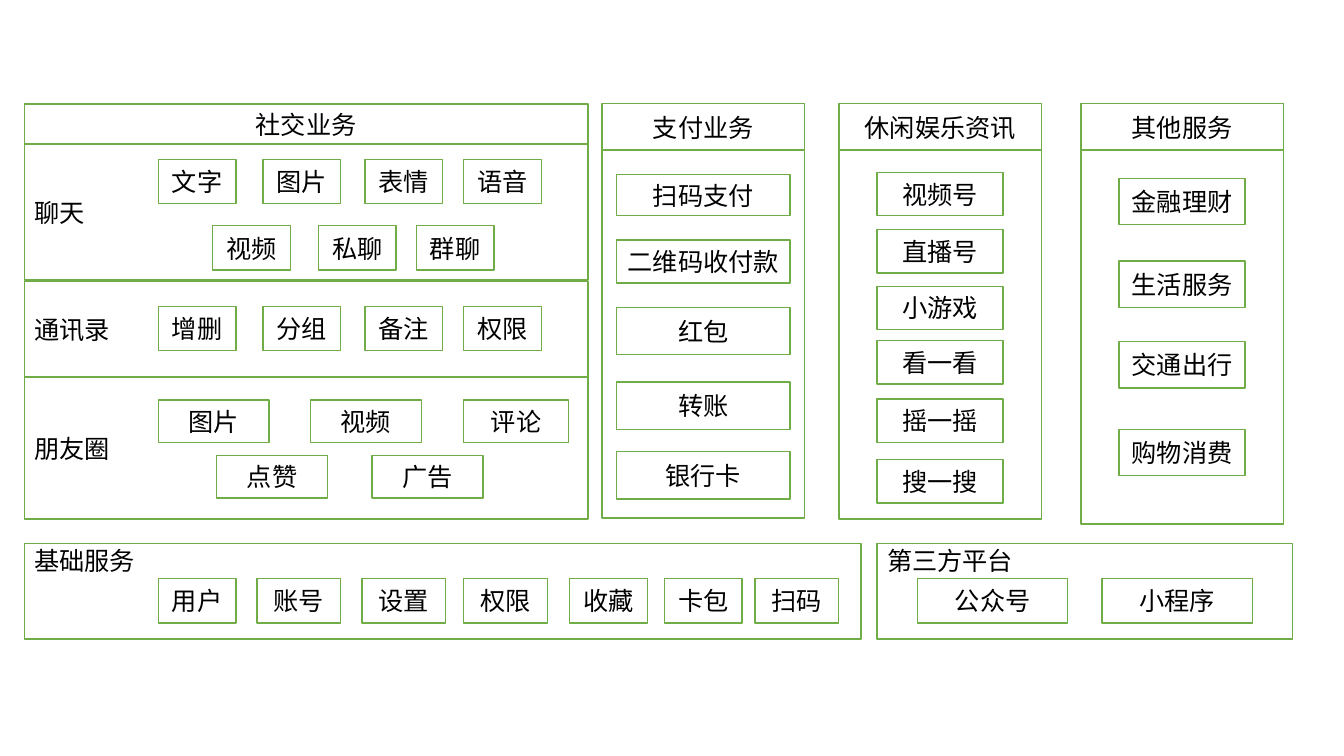
from pptx import Presentation
from pptx.dml.color import RGBColor
from pptx.enum.shapes import MSO_SHAPE
from pptx.enum.text import MSO_ANCHOR, MSO_AUTO_SIZE, PP_ALIGN
from pptx.oxml.ns import qn
from pptx.util import Inches, Pt

GREEN = RGBColor(0x70, 0xAD, 0x47)
WHITE = RGBColor(0xFF, 0xFF, 0xFF)
BLACK = RGBColor(0, 0, 0)
FONT = "Noto Sans CJK SC"

TOP = 1.03           # top of the upper panels
HEADER_H = 0.46
CHIP_H = 0.44
CHIP_W = 0.77
CHIP_COLS = (1.33, 2.37, 3.38, 4.36)


def format_box(sp):
    sp.fill.solid()
    sp.fill.fore_color.rgb = WHITE
    sp.line.color.rgb = GREEN
    sp.line.width = Pt(1)


def write(sp, text, align, anchor=MSO_ANCHOR.MIDDLE):
    tf = sp.text_frame
    tf.word_wrap = True
    tf.vertical_anchor = anchor
    p = tf.paragraphs[0]
    p.alignment = align
    r = p.add_run()
    r.text = text
    r.font.size = Pt(18)
    r.font.name = FONT
    r.font.color.rgb = BLACK
    ea = r._r.get_or_add_rPr().makeelement(qn("a:ea"), {"typeface": FONT})
    r.font._element.find(qn("a:latin")).addnext(ea)
    return p


def add_box(s, x, y, w, h, text="", align=PP_ALIGN.CENTER):
    sp = s.shapes.add_shape(MSO_SHAPE.RECTANGLE, *map(Inches, (x, y, w, h)))
    sp.shadow.inherit = False
    format_box(sp)
    if text:
        write(sp, text, align)
    return sp


def write_corner_title(sp, text):
    p = write(sp, text, PP_ALIGN.LEFT, MSO_ANCHOR.TOP)
    p.line_spacing = 0.9
    p.space_before = Pt(10)


def add_chip_row(s, x, y, labels, cols, widths, h=CHIP_H):
    for label, col, w in zip(labels, cols, widths):
        add_box(s, x + col, y, w, h, label)


def add_band(s, x, y, w, h, title, rows):
    """Band titled at the left; rows hold (offset, labels, columns, widths, height)."""
    add_box(s, x, y, w, h, title, PP_ALIGN.LEFT)
    for dy, *row in rows:
        add_chip_row(s, x, y + dy, *row)


def add_social_panel(s, x, y, w):
    small, large = [CHIP_W] * 4, [1.1, 1.1, 1.04]
    add_box(s, x, y, w, 0.41, "社交业务")
    add_band(s, x, y + 0.4, w, 1.35, "聊天", [
        (0.15, ["文字", "图片", "表情", "语音"], CHIP_COLS, small, CHIP_H),
        (0.81, ["视频", "私聊", "群聊"], (1.87, 2.92, 3.89), small, CHIP_H)])
    add_band(s, x, y + 2.71, w, 1.41, "朋友圈", [
        (0.23, ["图片", "视频", "评论"], (1.33, 2.84, 4.36), large, 0.42),
        (0.78, ["点赞", "广告"], (1.91, 3.45), large, 0.42)])
    add_band(s, x, y + 1.76, w, 0.95, "通讯录", [
        (0.25, ["增删", "分组", "备注", "权限"], CHIP_COLS, small, CHIP_H)])


def add_column_panel(s, x, y, h, title, chip_w, chips):
    """Headed column with centred chips, each (label, offset, height)."""
    w = 2.01
    add_box(s, x, y + HEADER_H, w, h - HEADER_H)
    add_box(s, x, y, w, HEADER_H, title)
    for label, dy, chip_h in chips:
        add_box(s, x + (w - chip_w) / 2, y + dy, chip_w, chip_h, label)


def add_base_panel(s, x, y, w, h):
    sp = s.placeholders[1]
    sp.left, sp.top, sp.width, sp.height = map(Inches, (x, y, w, h))
    format_box(sp)
    sp.text_frame.auto_size = MSO_AUTO_SIZE.NONE
    write_corner_title(sp, "基础服务")
    add_chip_row(s, x, y + 0.35,
                 ["用户", "账号", "设置", "权限", "收藏", "卡包", "扫码"],
                 (1.33, 2.31, 3.35, 4.36, 5.41, 6.35, 7.25),
                 (CHIP_W, 0.83, 0.83, 0.83, CHIP_W, CHIP_W, 0.83))


def add_platform_panel(s, x, y, w, h):
    write_corner_title(add_box(s, x, y, w, h), "第三方平台")
    add_chip_row(s, x, y + 0.35, ["公众号", "小程序"], (0.4, 2.23), (1.49, 1.49))


def main():
    prs = Presentation()
    prs.slide_width, prs.slide_height = Inches(13.33), Inches(7.5)
    s = prs.slides.add_slide(prs.slide_layouts[0])
    title = s.shapes.title._element
    title.getparent().remove(title)

    add_base_panel(s, 0.24, 5.39, 8.3, 0.95)
    add_platform_panel(s, 8.7, 5.39, 4.12, 0.95)
    add_social_panel(s, 0.24, TOP, 5.59)
    add_column_panel(s, 5.97, TOP, 4.11, "支付业务", 1.72, [
        ("扫码支付", 0.7, 0.41), ("二维码收付款", 1.35, 0.43),
        ("红包", 2.02, 0.47), ("转账", 2.76, 0.47), ("银行卡", 3.45, 0.47)])
    add_column_panel(s, 8.32, TOP, 4.12, "休闲娱乐资讯", 1.25, [
        ("视频号", 0.68, 0.43), ("直播号", 1.25, 0.43), ("小游戏", 1.81, 0.43),
        ("看一看", 2.35, 0.43), ("摇一摇", 2.93, 0.43), ("搜一搜", 3.53, 0.43)])
    add_column_panel(s, 10.72, TOP, 4.17, "其他服务", 1.25, [
        ("金融理财", 0.74, 0.46), ("生活服务", 1.56, 0.46),
        ("交通出行", 2.36, 0.46), ("购物消费", 3.23, 0.46)])
    prs.save("out.pptx")


if __name__ == "__main__":
    main()
